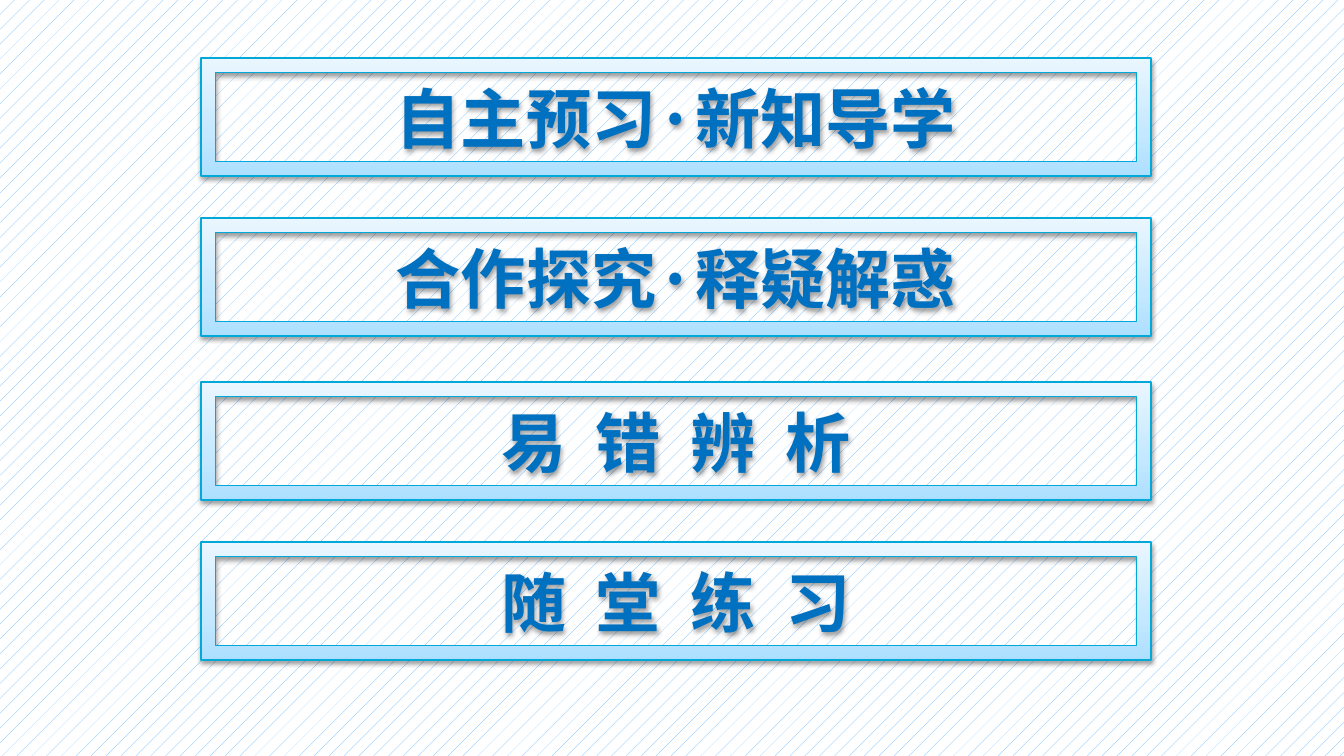
from copy import deepcopy

from pptx import Presentation
from pptx import util as u
from pptx.dml.color import RGBColor
from pptx.enum import dml, shapes, text
from pptx.oxml import parse_xml
from pptx.oxml.ns import nsdecls, qn

PX = 8572
SLIDE_W, SLIDE_H = 1344, 756
FRAME_LEFT, FRAME_W, FRAME_H = 201, 950, 118
FIRST_TOP, FRAME_PITCH, PAIR_PITCH = 58, 160, 324
WIDE_GAP = 1980

WHITE = RGBColor(0xFF, 0xFF, 0xFF)
HATCH = RGBColor(0x61, 0xB6, 0xFF)
BORDER = RGBColor(0x00, 0xA9, 0xD7)
TITLE_BLUE = RGBColor(0x00, 0x70, 0xC0)
FRAME_STOPS = (
    (0, RGBColor(0xAC, 0xDF, 0xFF)),
    (0.35, RGBColor(0xC4, 0xE8, 0xFF)),
    (1, RGBColor(0xE9, 0xF6, 0xFF)),
)

FONT = "Noto Sans CJK JP"
TITLE_FORMAT = {"name": FONT, "size": u.Pt(44), "bold": True}
FRAME_SHADOW = {"blur": 40000, "dist": 20000, "angle": 90, "alpha": 38}
TITLE_SHADOW = {"blur": 38100, "dist": 38100, "angle": 45, "alpha": 43}

SECTIONS = (
    (("自主预习·新知导学", 0),),
    (("合作探究·释疑解惑", 0),),
    (("易错辨", WIDE_GAP), ("析", 0)),
    (("随堂练", WIDE_GAP), ("习", 0)),
)


def px(length):
    return u.Emu(length * PX)


def outer_shadow(blur, dist, angle, alpha):
    return parse_xml(
        f'<a:outerShdw {nsdecls("a")} blurRad="{blur}" dist="{dist}" '
        f'dir="{angle * 60000}" rotWithShape="0"><a:srgbClr val="000000">'
        f'<a:alpha val="{alpha * 1000}"/></a:srgbClr></a:outerShdw>'
    )


def paint_background(slide):
    fill = slide.background.fill
    fill.patterned()
    fill.pattern = dml.MSO_PATTERN.PERCENT_5
    fill.fore_color.rgb = HATCH
    fill.back_color.rgb = WHITE


def paint_frame(frame):
    frame.fill.gradient()
    frame.fill.gradient_angle = 90
    properties = frame._element.spPr
    stop_list = properties.find(".//" + qn("a:gsLst"))
    stop_list.append(deepcopy(stop_list[0]))
    for stop, (position, color) in zip(frame.fill.gradient_stops, FRAME_STOPS):
        stop.position = position
        stop.color.rgb = color
    frame.line.color.rgb = BORDER
    frame.line.width = u.Pt(0.75)
    frame.shadow.inherit = False
    properties.find(qn("a:effectLst")).append(outer_shadow(**FRAME_SHADOW))


def add_title_part(paragraph, words, gap):
    part = paragraph.add_run()
    part.text = words
    for attribute, value in TITLE_FORMAT.items():
        setattr(part.font, attribute, value)
    part.font.color.rgb = TITLE_BLUE
    properties = part._r.get_or_add_rPr()
    if gap:
        properties.set("spc", str(gap))
    effects = parse_xml(f'<a:effectLst {nsdecls("a")}/>')
    effects.append(outer_shadow(**TITLE_SHADOW))
    properties.find(qn("a:solidFill")).addnext(effects)
    east_asian = parse_xml(f'<a:ea {nsdecls("a")} typeface="{FONT}"/>')
    properties.find(qn("a:latin")).addnext(east_asian)


def add_section(slide, top, title):
    frame = slide.shapes.add_shape(
        shapes.MSO_SHAPE.FRAME, px(FRAME_LEFT), px(top), px(FRAME_W), px(FRAME_H)
    )
    paint_frame(frame)
    frame.text_frame.vertical_anchor = text.MSO_ANCHOR.MIDDLE
    paragraph = frame.text_frame.paragraphs[0]
    paragraph.alignment = text.PP_ALIGN.CENTER
    for words, gap in title:
        add_title_part(paragraph, words, gap)


def main():
    deck = Presentation()
    deck.slide_width, deck.slide_height = px(SLIDE_W), px(SLIDE_H)
    slide = deck.slides.add_slide(deck.slide_layouts[6])
    paint_background(slide)
    for index, title in enumerate(SECTIONS):
        pair, row = divmod(index, 2)
        add_section(slide, FIRST_TOP + pair * PAIR_PITCH + row * FRAME_PITCH, title)
    deck.save("out.pptx")


if __name__ == "__main__":
    main()
